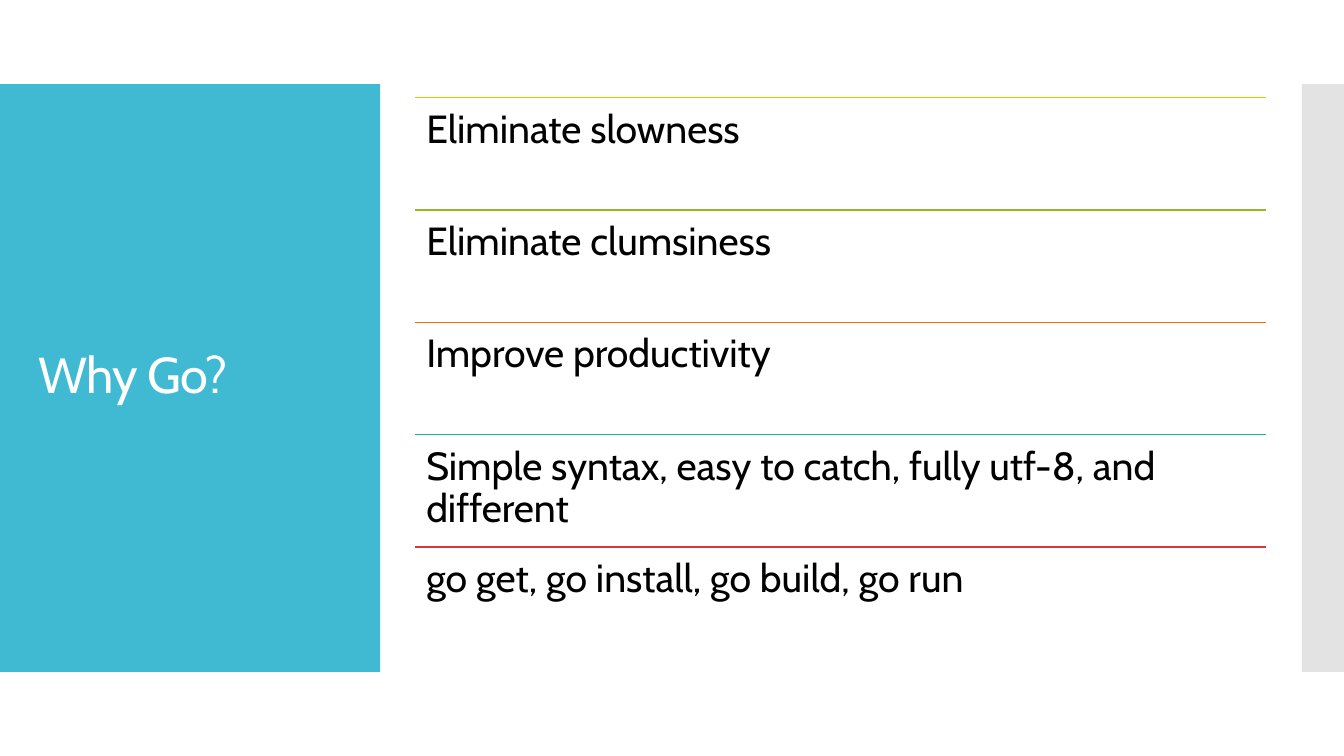
from dataclasses import dataclass

from lxml import etree
from pptx import Presentation
from pptx import util as u
from pptx.dml.color import RGBColor
from pptx.enum import shapes, text
from pptx.oxml import ns

PX = 9525


@dataclass(frozen=True)
class Theme:
    font: str = "Cabin"
    panel: str = "40BAD2"
    edge: str = "C8C8C8"
    title: str = "FFFFFF"
    body: str = "000000"
    title_pt: int = 36
    body_pt: int = 28
    rule_pt: float = 0.85


@dataclass(frozen=True)
class Box:
    x: int
    y: int
    w: int
    h: int

    def emu(self) -> tuple[int, int, int, int]:
        return self.x * PX, self.y * PX, self.w * PX, self.h * PX


@dataclass(frozen=True)
class Reason:
    label: str
    color: str


THEME = Theme()
PANEL = Box(0, 80, 362, 560)
EDGE = Box(1240, 80, 40, 560)
TITLE = Box(27, 118, 309, 483)
FIRST_ROW = Box(395, 93, 811, 107)
INSET = 11

REASONS = [
    Reason("Eliminate slowness", "FAB900"),
    Reason("Eliminate clumsiness", "90BB23"),
    Reason("Improve productivity", "EE7008"),
    Reason("Simple syntax, easy to catch, fully utf-8, and different", "1AB39F"),
    Reason("go get, go install, go build, go run", "D5393D"),
]


def write(tf, content: str, *, size: int, color: str,
          anchor=text.MSO_ANCHOR.TOP, spacing: int = 0) -> None:
    tf.word_wrap = True
    tf.auto_size = text.MSO_AUTO_SIZE.NONE
    tf.vertical_anchor = anchor
    p = tf.paragraphs[0]
    p.alignment = text.PP_ALIGN.LEFT
    p.line_spacing = 0.9
    r = p.add_run()
    r.text = content
    r.font.name = THEME.font
    r.font.size = u.Pt(size)
    r.font.color.rgb = RGBColor.from_string(color)
    if spacing:
        r.font._element.set("spc", str(spacing))


def add_panel(s, box: Box, color: str, alpha: int = 100) -> None:
    sp = s.shapes.add_shape(shapes.MSO_SHAPE.RECTANGLE, *box.emu())
    sp.shadow.inherit = False
    sp.fill.solid()
    sp.fill.fore_color.rgb = RGBColor.from_string(color)
    sp.line.fill.background()
    if alpha < 100:
        clr = sp._element.spPr.find(".//" + ns.qn("a:srgbClr"))
        etree.SubElement(clr, ns.qn("a:alpha"), val=str(alpha * 1000))


def add_title(s, content: str) -> None:
    sp = s.shapes.title
    sp.left, sp.top, sp.width, sp.height = TITLE.emu()
    write(sp.text_frame, content, size=THEME.title_pt, color=THEME.title,
          anchor=text.MSO_ANCHOR.MIDDLE, spacing=-60)
    s.shapes._spTree.append(sp._element)


def add_reason(s, reason: Reason, box: Box) -> None:
    x, y, w, h = box.emu()
    rule = s.shapes.add_connector(shapes.MSO_CONNECTOR.STRAIGHT, x, y, x + w, y)
    rule.line.color.rgb = RGBColor.from_string(reason.color)
    rule.line.width = u.Pt(THEME.rule_pt)
    etree.SubElement(rule._element.spPr, ns.qn("a:effectLst"))
    tf = s.shapes.add_textbox(x, y, w, h).text_frame
    tf.margin_left = tf.margin_top = tf.margin_right = tf.margin_bottom = INSET * PX
    write(tf, reason.label, size=THEME.body_pt, color=THEME.body)


def main() -> None:
    prs = Presentation()
    prs.slide_width, prs.slide_height = 1280 * PX, 720 * PX
    s = prs.slides.add_slide(prs.slide_layouts.get_by_name("Title Only"))
    add_panel(s, PANEL, THEME.panel)
    add_panel(s, EDGE, THEME.edge, alpha=50)
    add_title(s, "Why Go?")
    for i, reason in enumerate(REASONS):
        row = Box(FIRST_ROW.x, FIRST_ROW.y + i * FIRST_ROW.h, FIRST_ROW.w, FIRST_ROW.h)
        add_reason(s, reason, row)
    prs.save("out.pptx")


if __name__ == "__main__":
    main()
